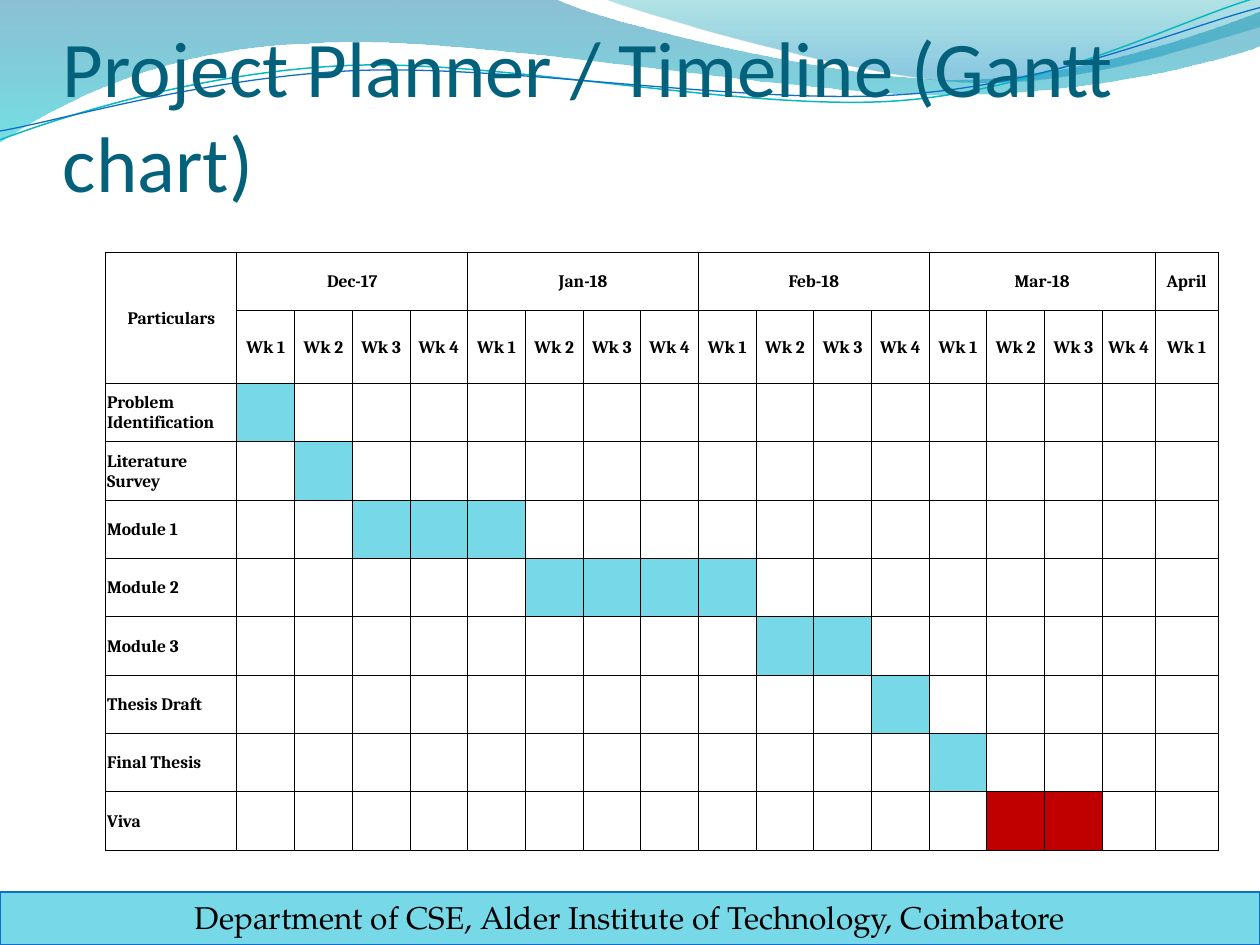
import math

from lxml import etree
from pptx import Presentation
from pptx.dml.color import RGBColor
from pptx.enum.shapes import MSO_SHAPE
from pptx.enum.text import MSO_ANCHOR, MSO_AUTO_SIZE, PP_ALIGN
from pptx.oxml.ns import qn
from pptx.util import Inches, Pt

RECT = MSO_SHAPE.RECTANGLE
TOP, MIDDLE, BOTTOM = MSO_ANCHOR.TOP, MSO_ANCHOR.MIDDLE, MSO_ANCHOR.BOTTOM
LEFT, CENTER = PP_ALIGN.LEFT, PP_ALIGN.CENTER
GROW = MSO_AUTO_SIZE.SHAPE_TO_FIT_TEXT

BLACK = RGBColor(0x00, 0x00, 0x00)
TITLE_TEAL = RGBColor(0x04, 0x61, 0x7B)
CYAN = RGBColor(0x77, 0xD9, 0xE8)
RED = RGBColor(0xC0, 0x00, 0x00)
BLUE = RGBColor(0x0F, 0x6F, 0xC6)
TEAL = RGBColor(0x0A, 0xB8, 0xBF)
DEEP_BLUE = RGBColor(0x00, 0x74, 0xA1)
AQUA = RGBColor(0x00, 0xC6, 0xCF)
SEA_GREEN = RGBColor(0x00, 0xA1, 0xA9)
SKY_BLUE = RGBColor(0x00, 0x8B, 0xBF)

# Outlines in slide inches: a start point, then lines (one point) or
# Bezier curves (two control points and an end point).
LEFT_WAVE = [
    [(0, 0)], [(4.4, -0.01)],
    [(4.76, 0.17), (6.64, 0.63), (7.58, 0.63)],
    [(8.53, 0.63), (9.58, 0.26), (10, 0.09)],
    [(10.01, 0.36)],
    [(9.83, 0.44), (8.7, 0.76), (7.46, 0.75)],
    [(6.22, 0.75), (3.82, 0.28), (2.57, 0.34)],
    [(1.29, 0.36), (0.46, 0.83), (-0.01, 1.13)],
    [(0, 0)],
]
RIGHT_WAVE = [
    [(4.79, -0.01)],
    [(5.09, 0.11), (6.82, 0.62), (7.69, 0.65)],
    [(8.56, 0.69), (9.61, 0.32), (10, 0.21)],
    [(10, 0)], [(4.79, -0.01)],
]
TEAL_STRAND = [
    [(0, 1.11)],
    [(0.48, 0.93), (1.58, 0.57), (2.77, 0.52)],
    [(3.95, 0.47), (5.93, 0.89), (7.13, 0.8)],
    [(8.33, 0.71), (9.38, 0.15), (9.98, -0.02)],
]
BLUE_STRAND = [
    [(0, 1.04)],
    [(0.47, 0.96), (1.64, 0.61), (2.83, 0.56)],
    [(4.03, 0.51), (5.97, 0.84), (7.17, 0.75)],
    [(8.36, 0.67), (9.41, 0.21), (10, 0.06)],
]
STRAND_ROTATION = 357.3

# Month and its number of weeks
MONTHS = [("Dec-17", 4), ("Jan-18", 4), ("Feb-18", 4), ("Mar-18", 4), ("April", 1)]
# Task, first and last week counted from the first column, bar colour
TASKS = [
    ("Problem Identification", 1, 1, CYAN),
    ("Literature Survey", 2, 2, CYAN),
    ("Module 1", 3, 5, CYAN),
    ("Module 2", 6, 9, CYAN),
    ("Module 3", 10, 11, CYAN),
    ("Thesis Draft", 12, 12, CYAN),
    ("Final Thesis", 13, 13, CYAN),
    ("Viva", 14, 15, RED),
]
TABLE_W, TABLE_H = 8.83, 4.75
NAME_W, MARCH_END_W, APRIL_W = 1.04, 0.42, 0.5
WEEK_W = (TABLE_W - NAME_W - MARCH_END_W - APRIL_W) / 15
WEEK_ROW_H = 0.58
ROW_H = (TABLE_H - WEEK_ROW_H) / 9


def add_text(tf, text, font, size, color, align=LEFT, bold=False):
    """Write one formatted run into the first paragraph."""
    p = tf.paragraphs[0]
    p.alignment = align
    r = p.add_run()
    r.text = text
    r.font.name, r.font.size, r.font.bold = font, Pt(size), bold
    r.font.color.rgb = color


def add_outline(slide, frame, outline, close, rotation=0):
    """Add a curved freeform whose box is frame, turned by rotation degrees."""
    x, y, w, h = frame
    corners = [(x, y), (x + w, y), (x + w, y + h)]
    corners = [(Inches(cx), Inches(cy)) for cx, cy in corners]
    builder = slide.shapes.build_freeform(*corners[0])
    builder.add_line_segments(corners[1:], close=False)
    sp = builder.convert_to_shape()
    sp.shadow.inherit = False
    sp.rotation = rotation

    cos, sin = math.cos(math.radians(rotation)), math.sin(math.radians(rotation))
    curve = next(sp._element.iter(qn("a:path")))
    for child in list(curve):
        curve.remove(child)
    for i, points in enumerate(outline):
        tag = "a:moveTo" if i == 0 else "a:lnTo" if len(points) == 1 else "a:cubicBezTo"
        step = etree.SubElement(curve, qn(tag))
        for px, py in points:
            dx, dy = px - x - w / 2, py - y - h / 2
            etree.SubElement(step, qn("a:pt"),
                             x=str(Inches(w / 2 + dx * cos + dy * sin)),
                             y=str(Inches(h / 2 - dx * sin + dy * cos)))
    if close:
        etree.SubElement(curve, qn("a:close"))
    return sp


def add_wave(slide, frame, outline, stops):
    """Add a wave with a vertical see-through gradient."""
    sp = add_outline(slide, frame, outline, True)
    sp.line.fill.background()
    sp.fill.gradient()
    sp.fill.gradient_angle = 270
    for stop, (position, color, _) in zip(sp.fill.gradient_stops, stops):
        stop.position = position
        stop.color.rgb = color
    colors = sp._element.spPr.iter(qn("a:srgbClr"))
    for clr, (_, _, opacity) in zip(colors, stops):
        etree.SubElement(clr, qn("a:alpha"), val=str(opacity * 1000))


def add_strand(slide, frame, outline, color, width):
    """Add a thin curved line."""
    sp = add_outline(slide, frame, outline, False, STRAND_ROTATION)
    sp.fill.background()
    sp.line.color.rgb = color
    sp.line.width = Pt(width)


def add_title(slide, text):
    """Add the title, growing upwards from its bottom edge."""
    tf = slide.shapes.add_textbox(Inches(0.5), Inches(0.92), Inches(9), Inches(0.73)).text_frame
    tf.word_wrap = True
    tf.vertical_anchor = BOTTOM
    tf.margin_left = tf.margin_right = tf.margin_bottom = 0
    add_text(tf, text, "Calibri", 45, TITLE_TEAL)


def add_footer(slide, text):
    """Add the footer bar across the slide."""
    sp = slide.shapes.add_shape(RECT, 0, Inches(7.08), Inches(10), Inches(0.42))
    sp.shadow.inherit = False
    sp.fill.solid()
    sp.fill.fore_color.rgb = CYAN
    sp.line.color.rgb = BLUE
    sp.line.width = Pt(0.75)
    tf = sp.text_frame
    tf.word_wrap = True
    tf.auto_size = GROW
    tf.vertical_anchor = TOP
    add_text(tf, text, "TeX Gyre Pagella", 18, BLACK, CENTER)


def style_cell(cell):
    """Give a cell thin black borders, no fill and tight margins."""
    tc_pr = cell._tc.get_or_add_tcPr()
    for side in ("lnL", "lnR", "lnT", "lnB"):
        ln = etree.SubElement(tc_pr, qn("a:" + side), w=str(Pt(0.5)))
        fill = etree.SubElement(ln, qn("a:solidFill"))
        etree.SubElement(fill, qn("a:srgbClr"), val=str(BLACK))
    cell.fill.background()
    cell.margin_left = cell.margin_right = cell.margin_top = Inches(0.01)
    cell.margin_bottom = 0
    cell.vertical_anchor = MIDDLE


def label_cell(cell, text, align=CENTER):
    """Write a bold table label."""
    add_text(cell.text_frame, text, "Cambria", 10, BLACK, align, True)


def add_gantt(slide):
    """Add the timeline table with its headings and bars."""
    widths = [NAME_W] + [WEEK_W] * 15 + [MARCH_END_W, APRIL_W]
    heights = [ROW_H, WEEK_ROW_H] + [ROW_H] * len(TASKS)
    table = slide.shapes.add_table(len(heights), len(widths), Inches(0.84), Inches(2),
                                   Inches(TABLE_W), Inches(TABLE_H)).table
    table.first_row = table.horz_banding = False
    for column, width in zip(table.columns, widths):
        column.width = Inches(width)
    for row, height in zip(table.rows, heights):
        row.height = Inches(height)
    for cell in table.iter_cells():
        style_cell(cell)

    table.cell(0, 0).merge(table.cell(1, 0))
    label_cell(table.cell(0, 0), "Particulars")
    col = 1
    for month, weeks in MONTHS:
        if weeks > 1:
            table.cell(0, col).merge(table.cell(0, col + weeks - 1))
        label_cell(table.cell(0, col), month)
        for week in range(weeks):
            label_cell(table.cell(1, col + week), f"Wk {week + 1}")
        col += weeks

    for row, (task, first, last, color) in enumerate(TASKS, 2):
        label_cell(table.cell(row, 0), task, LEFT)
        for week in range(first, last + 1):
            fill = table.cell(row, week).fill
            fill.solid()
            fill.fore_color.rgb = color


def main():
    """Build the slide and save it."""
    prs = Presentation()
    prs.slide_width, prs.slide_height = Inches(10), Inches(7.5)
    s = prs.slides.add_slide(prs.slide_layouts[6])
    add_wave(s, (-0.01, -0.01, 10.02, 1.14), LEFT_WAVE, [(0, DEEP_BLUE, 45), (1, AQUA, 55)])
    add_wave(s, (4.79, -0.01, 5.21, 0.7), RIGHT_WAVE,
             [(0, SEA_GREEN, 30), (0.8, SKY_BLUE, 45)])
    add_strand(s, (-0.02, 0.22, 10.02, 0.71), TEAL_STRAND, TEAL, 0.85)
    add_strand(s, (-0.02, 0.3, 10.03, 0.58), BLUE_STRAND, BLUE, 0.75)
    add_title(s, "Project Planner / Timeline (Gantt chart)")
    add_footer(s, "Department of CSE, Alder Institute of Technology, Coimbatore")
    add_gantt(s)
    prs.save("out.pptx")


main()
